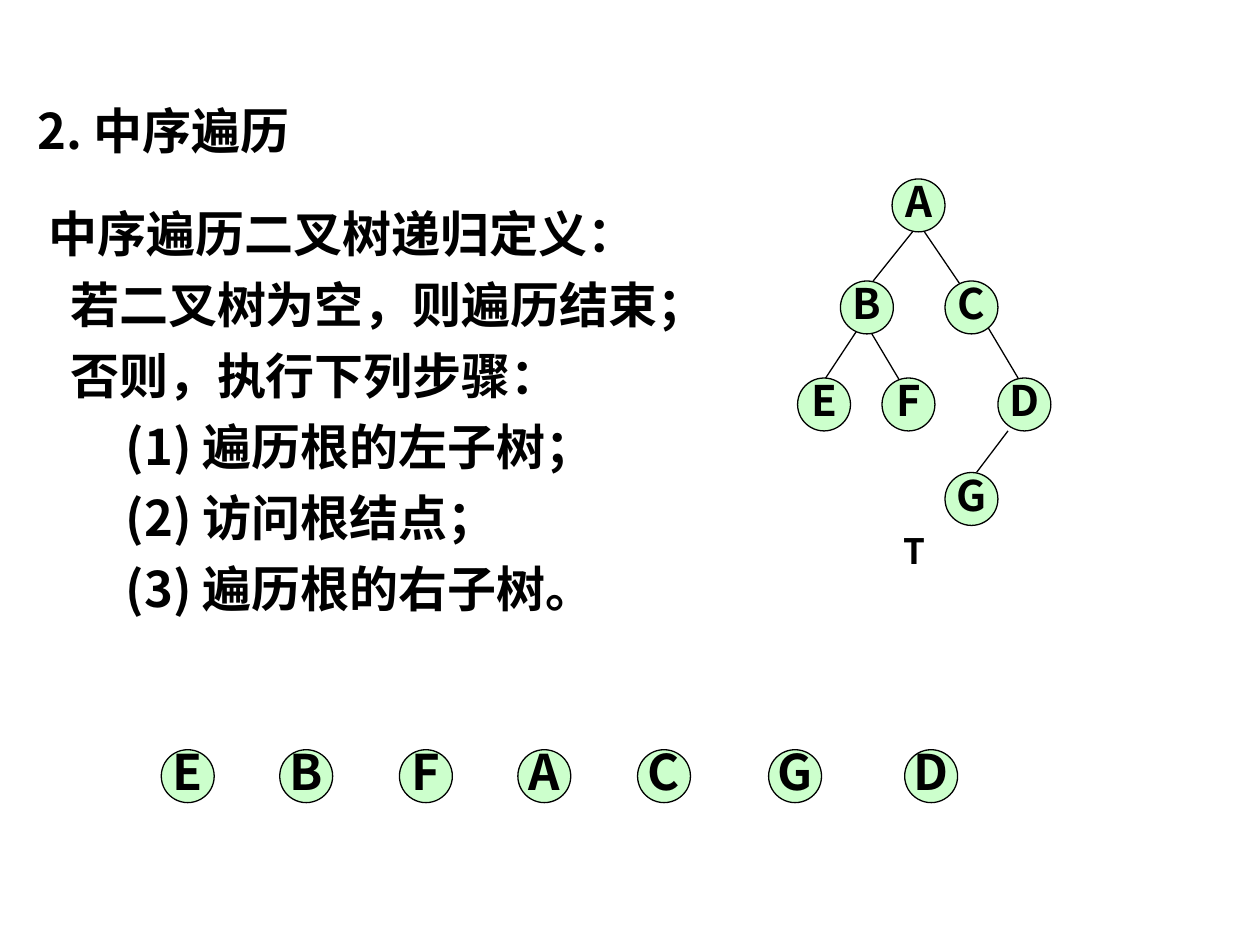
from lxml import etree
from pptx import Presentation
from pptx.dml.color import RGBColor
from pptx.enum import shapes, text
from pptx.oxml import ns
from pptx.util import Inches, Pt

FONT = "Noto Sans CJK SC"
BLACK = RGBColor(0, 0, 0)
GREEN = RGBColor(0xCC, 0xFF, 0xCC)
NODE_SIZE = 0.42

# Text, left indent in inches, space before in points
DEFINITION = [
    ("2. 中序遍历", 0, 0),
    ("中序遍历二叉树递归定义：", 0.09, 25),
    ("若二叉树为空，则遍历结束；", 0.26, 7),
    ("否则，执行下列步骤：", 0.26, 7),
    ("(1) 遍历根的左子树；", 0.7, 7),
    ("(2) 访问根结点；", 0.7, 7),
    ("(3) 遍历根的右子树。", 0.7, 7),
]
TREE_EDGES = [
    (7.25, 1.83, 6.93, 2.23),
    (7.33, 1.83, 7.67, 2.33),
    (7.83, 2.58, 8.08, 3),
    (8, 3.42, 7.75, 3.75),
    (6.92, 2.65, 7.17, 3.07),
    (6.83, 2.58, 6.5, 3.08),
]
TREE_NODES = {
    "A": (7.08, 1.42),
    "B": (6.67, 2.23),
    "C": (7.5, 2.23),
    "E": (6.33, 3),
    "F": (7, 3),
    "D": (7.92, 3),
    "G": (7.5, 3.75),
}
VISIT_ORDER = {"E": 1.28, "B": 2.22, "F": 3.17, "A": 4.11,
               "C": 5.06, "G": 6.1, "D": 7.18}
VISIT_TOP = 5.95


def set_font(para, size):
    font = para.font
    font.name = FONT
    font.size = Pt(size)
    font.bold = True
    font.color.rgb = BLACK
    # East Asian characters take their own typeface
    latin = font._element.find(ns.qn("a:latin"))
    east_asian = etree.Element(ns.qn("a:ea"), typeface=FONT)
    latin.addnext(east_asian)


def add_definition(page):
    box = page.shapes.add_textbox(
        Inches(0.2), Inches(0.76), Inches(5.9), Inches(5.59))
    frame = box.text_frame
    frame.word_wrap = True
    frame.margin_top = Inches(0.04)
    for index, (line, indent, before) in enumerate(DEFINITION):
        para = frame.add_paragraph() if index else frame.paragraphs[0]
        para.text = line
        para.alignment = text.PP_ALIGN.JUSTIFY
        para.space_before = Pt(before)
        para._p.get_or_add_pPr().set("marL", str(Inches(indent)))
        set_font(para, 28)


def add_label(page, label, left, top, width, height):
    box = page.shapes.add_textbox(
        Inches(left), Inches(top), Inches(width), Inches(height))
    box.text_frame.word_wrap = False
    para = box.text_frame.paragraphs[0]
    para.text = label
    set_font(para, 20)


def add_edge(page, x1, y1, x2, y2):
    edge = page.shapes.add_connector(
        shapes.MSO_CONNECTOR.STRAIGHT,
        Inches(x1), Inches(y1), Inches(x2), Inches(y2))
    edge.line.color.rgb = BLACK
    edge.line.width = Pt(0.75)
    etree.SubElement(edge._element.spPr, ns.qn("a:effectLst"))


def add_node(page, letter, left, top, size):
    node = page.shapes.add_shape(
        shapes.MSO_SHAPE.OVAL, Inches(left), Inches(top),
        Inches(NODE_SIZE), Inches(NODE_SIZE))
    node.shadow.inherit = False
    node.fill.solid()
    node.fill.fore_color.rgb = GREEN
    node.line.color.rgb = BLACK
    node.line.width = Pt(0.75)
    frame = node.text_frame
    frame.word_wrap = False
    frame.vertical_anchor = text.MSO_ANCHOR.MIDDLE
    para = frame.paragraphs[0]
    para.text = letter
    para.alignment = text.PP_ALIGN.CENTER
    para.line_spacing = 0.8
    set_font(para, size)


def main():
    deck = Presentation()
    deck.slide_width, deck.slide_height = Inches(10), Inches(7.5)
    page = deck.slides.add_slide(deck.slide_layouts[6])

    # Recursive definition
    add_definition(page)

    # Binary tree T
    add_label(page, "T", 7.07, 4.15, 0.36, 0.44)
    for edge in TREE_EDGES:
        add_edge(page, *edge)
    for letter, (left, top) in TREE_NODES.items():
        add_node(page, letter, left, top, 24)

    # Resulting visit order
    for letter, left in VISIT_ORDER.items():
        add_node(page, letter, left, VISIT_TOP, 28)

    deck.save("out.pptx")


if __name__ == "__main__":
    main()
